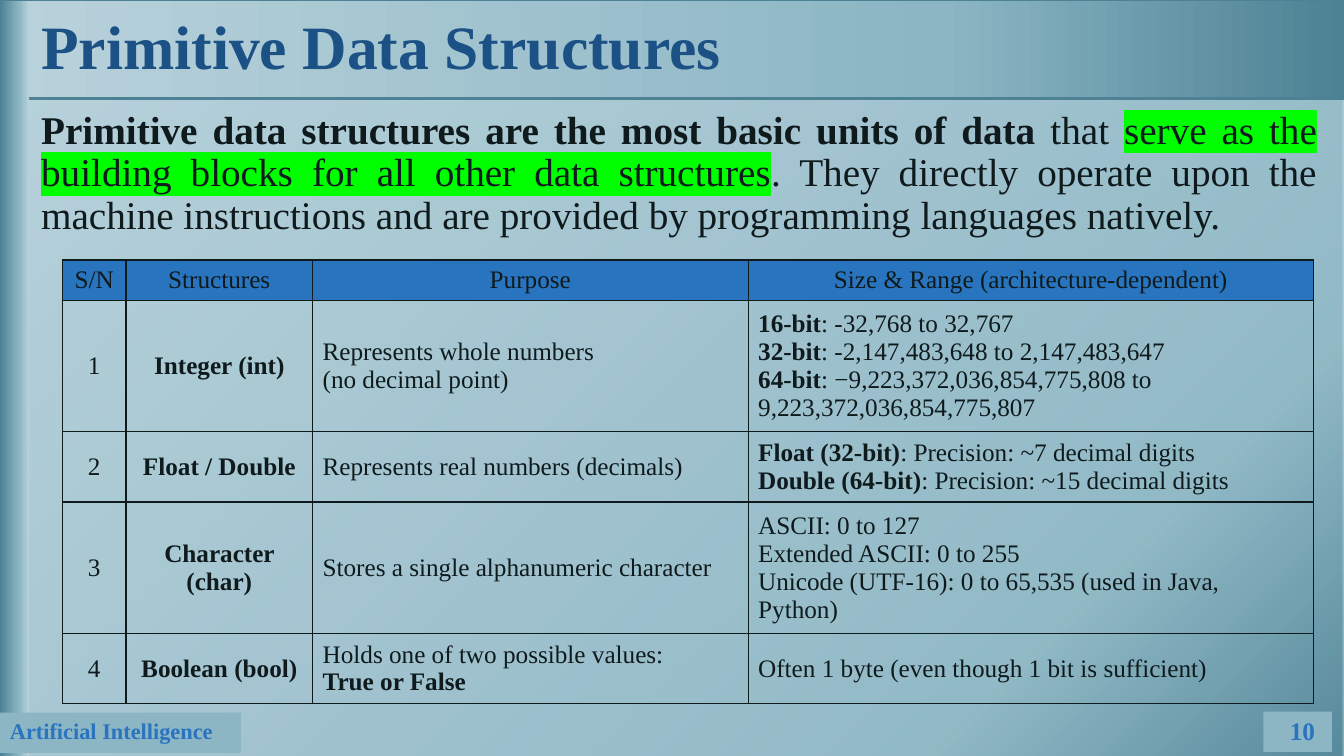
from lxml.etree import SubElement
from pptx import Presentation
from pptx.dml.color import RGBColor
from pptx.enum.shapes import MSO_SHAPE
from pptx.enum.text import MSO_ANCHOR, PP_ALIGN
from pptx.oxml import parse_xml
from pptx.oxml.ns import nsdecls, qn
from pptx.util import Inches, Pt

WIDTH, HEIGHT = 13.33, 7.5
FONT = "Times New Roman"
INK, BLUE, NAVY = "0F1A1D", "2A74BF", "1C5186"
DARK, MID, PALE = "4C8294", "8CB6C4", "B8D2DB"
BACKGROUND, HEADER_FILL, HIGHLIGHT = "D6E5EA", "2874BF", "00FF00"

TITLE = "Primitive Data Structures"
COURSE, PAGE = "Artificial Intelligence", "10"
# **bold** and ==highlighted== spans
INTRO = ("**Primitive data structures are the most basic units of data **that "
         "==serve as the building blocks for all other data structures==. "
         "They directly operate upon the machine instructions and are provided "
         "by programming languages natively.")
HEADER = ["S/N", "Structures", "Purpose", "Size & Range (architecture-dependent)"]
ROWS = [
    ["1", "**Integer (int)**",
     "Represents whole numbers\n(no decimal point)",
     "**16-bit**: -32,768 to 32,767\n"
     "**32-bit**: -2,147,483,648 to 2,147,483,647\n"
     "**64-bit**: −9,223,372,036,854,775,808 to 9,223,372,036,854,775,807"],
    ["2", "**Float / Double**", "Represents real numbers (decimals)",
     "**Float (32-bit)**: Precision: ~7 decimal digits\n"
     "**Double (64-bit)**: Precision: ~15 decimal digits"],
    ["3", "**Character (char)**", "Stores a single alphanumeric character",
     "ASCII: 0 to 127\nExtended ASCII: 0 to 255\n"
     "Unicode (UTF-16): 0 to 65,535 (used in Java, Python)"],
    ["4", "**Boolean (bool)**",
     "Holds one of two possible values:\n**True or False**",
     "Often 1 byte (even though 1 bit is sufficient)"],
]
COLUMN_WIDTHS = [0.63, 1.85, 4.32, 5.61]
ROW_HEIGHTS = [0.37, 1.21, 0.65, 1.21, 0.65]
CENTERED_COLUMNS = 2
TABLE_LEFT, TABLE_TOP = 0.62, 2.58


def rgb(color):
    return RGBColor.from_string(color)


def box(left, top, width, height):
    return [Inches(v) for v in (left, top, width, height)]


def add_runs(p, text):
    """Split marked text into plain, bold and highlighted runs."""
    for i, bold_part in enumerate(text.split("**")):
        for j, part in enumerate(bold_part.split("==")):
            if not part:
                continue
            r = p.add_run()
            r.text = part
            if i % 2:
                r.font.bold = True
            if j % 2:
                highlight = SubElement(r._r.get_or_add_rPr(), qn("a:highlight"))
                SubElement(highlight, qn("a:srgbClr"), val=HIGHLIGHT)


def write(tf, text, size, color=INK, bold=None, align=PP_ALIGN.LEFT,
          anchor=MSO_ANCHOR.TOP, line_spacing=None):
    tf.word_wrap = True
    tf.vertical_anchor = anchor
    for i, line in enumerate(text.split("\n")):
        p = tf.add_paragraph() if i else tf.paragraphs[0]
        p.alignment = align
        if line_spacing:
            p.line_spacing = line_spacing
        p.font.name, p.font.size, p.font.bold = FONT, Pt(size), bold
        p.font.color.rgb = rgb(color)
        add_runs(p, line)


def add_text(slide, area, text, size, **style):
    write(slide.shapes.add_textbox(*box(*area)).text_frame, text, size, **style)


def add_panel(slide, area, fill=None):
    sp = slide.shapes.add_shape(MSO_SHAPE.RECTANGLE, *box(*area))
    sp.shadow.inherit = False
    sp.line.fill.background()
    if fill:
        sp.fill.solid()
        sp.fill.fore_color.rgb = rgb(fill)
    return sp


def set_gradient(sp, middle, direction, alpha=100):
    """Fade from dark through mid, at the middle percentage, to pale."""
    stops = "".join(
        f'<a:gs pos="{pos * 1000}"><a:srgbClr val="{color}">'
        f'<a:alpha val="{alpha * 1000}"/></a:srgbClr></a:gs>'
        for pos, color in ((0, DARK), (middle, MID), (100, PALE)))
    sp.fill.background()
    no_fill = sp._element.spPr.find(qn("a:noFill"))
    no_fill.getparent().replace(no_fill, parse_xml(
        f'<a:gradFill {nsdecls("a")} rotWithShape="1">'
        f'<a:gsLst>{stops}</a:gsLst>{direction}</a:gradFill>'))


def set_borders(cell):
    tcPr = cell._tc.get_or_add_tcPr()
    for i, side in enumerate(("lnL", "lnR", "lnT", "lnB")):
        tcPr.insert(i, parse_xml(
            f'<a:{side} {nsdecls("a")} w="{Pt(1)}"><a:solidFill>'
            f'<a:srgbClr val="{INK}"/></a:solidFill></a:{side}>'))


def add_backdrop(slide):
    slide.background.fill.solid()
    slide.background.fill.fore_color.rgb = rgb(BACKGROUND)
    wash = add_panel(slide, (0, 0.01, WIDTH, 7.53))
    set_gradient(wash, 20, '<a:path path="circle">'
                 '<a:fillToRect l="100000" t="100000"/></a:path>', alpha=92)
    title_band = add_panel(slide, (0.01, -0.01, WIDTH, 0.99))
    set_gradient(title_band, 30, '<a:lin ang="10800000" scaled="0"/>')
    title_band.line.color.rgb = rgb(DARK)
    title_band.line.width = Pt(2.25)
    add_panel(slide, (12.53, 7.06, 0.68, 0.4), MID)
    side_band = add_panel(slide, (0, 0.01, 0.29, 7.51))
    set_gradient(side_band, 66, '<a:lin ang="0" scaled="0"/>')
    course_tag = add_panel(slide, (0, 7.07, 2.39, 0.4), MID)
    write(course_tag.text_frame, COURSE, 16, color=BLUE, bold=True)


def add_structures_table(slide):
    area = (TABLE_LEFT, TABLE_TOP, sum(COLUMN_WIDTHS), sum(ROW_HEIGHTS))
    table = slide.shapes.add_table(
        len(ROW_HEIGHTS), len(COLUMN_WIDTHS), *box(*area)).table
    table.first_row = table.horz_banding = False
    for column, width in zip(table.columns, COLUMN_WIDTHS):
        column.width = Inches(width)
    for row, height in zip(table.rows, ROW_HEIGHTS):
        row.height = Inches(height)
    for i, texts in enumerate([HEADER] + ROWS):
        for j, text in enumerate(texts):
            cell = table.cell(i, j)
            if i == 0:
                cell.fill.solid()
                cell.fill.fore_color.rgb = rgb(HEADER_FILL)
            else:
                cell.fill.background()
            set_borders(cell)
            cell.vertical_anchor = MSO_ANCHOR.MIDDLE
            centered = i == 0 or j < CENTERED_COLUMNS
            write(cell.text_frame, text, 18, anchor=MSO_ANCHOR.MIDDLE,
                  align=PP_ALIGN.CENTER if centered else PP_ALIGN.LEFT)
            # the cell, not its text body, carries the anchor and wrapping
            cell.text_frame.vertical_anchor = None
            cell.text_frame.word_wrap = None


def main():
    prs = Presentation()
    prs.slide_width, prs.slide_height = Inches(WIDTH), Inches(HEIGHT)
    slide = prs.slides.add_slide(prs.slide_layouts[6])
    add_backdrop(slide)
    add_text(slide, (0.31, 0.04, 12.45, 0.9), TITLE, 44, color=NAVY, bold=True,
             anchor=MSO_ANCHOR.MIDDLE, line_spacing=0.9)
    add_text(slide, (0.31, 1.05, 12.85, 6.26), INTRO, 28,
             align=PP_ALIGN.JUSTIFY, line_spacing=0.9)
    add_text(slide, (11.29, 7.05, 1.85, 0.4), PAGE, 18, color=BLUE, bold=True,
             align=PP_ALIGN.RIGHT, anchor=MSO_ANCHOR.MIDDLE)
    add_structures_table(slide)
    prs.save("out.pptx")


if __name__ == "__main__":
    main()
